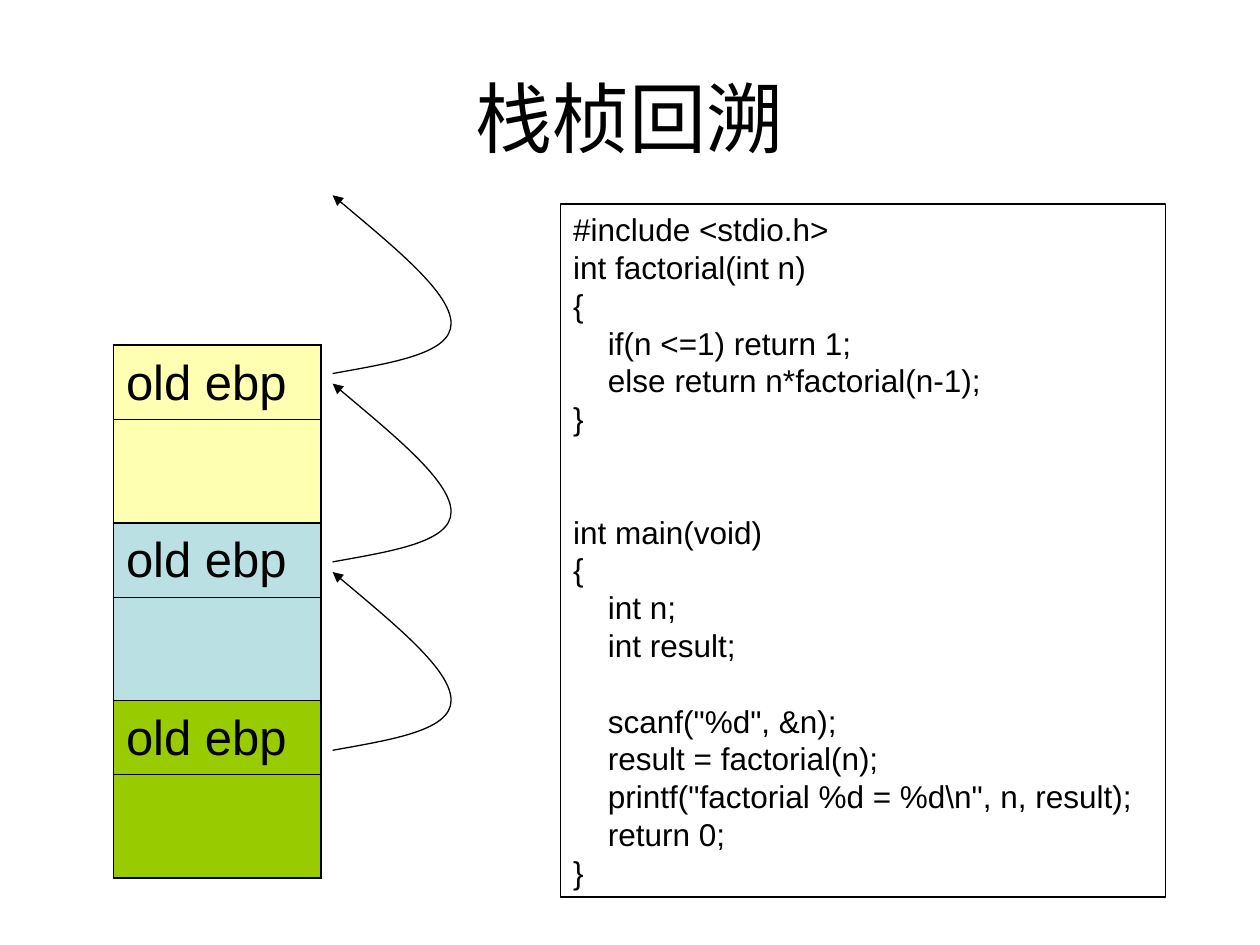
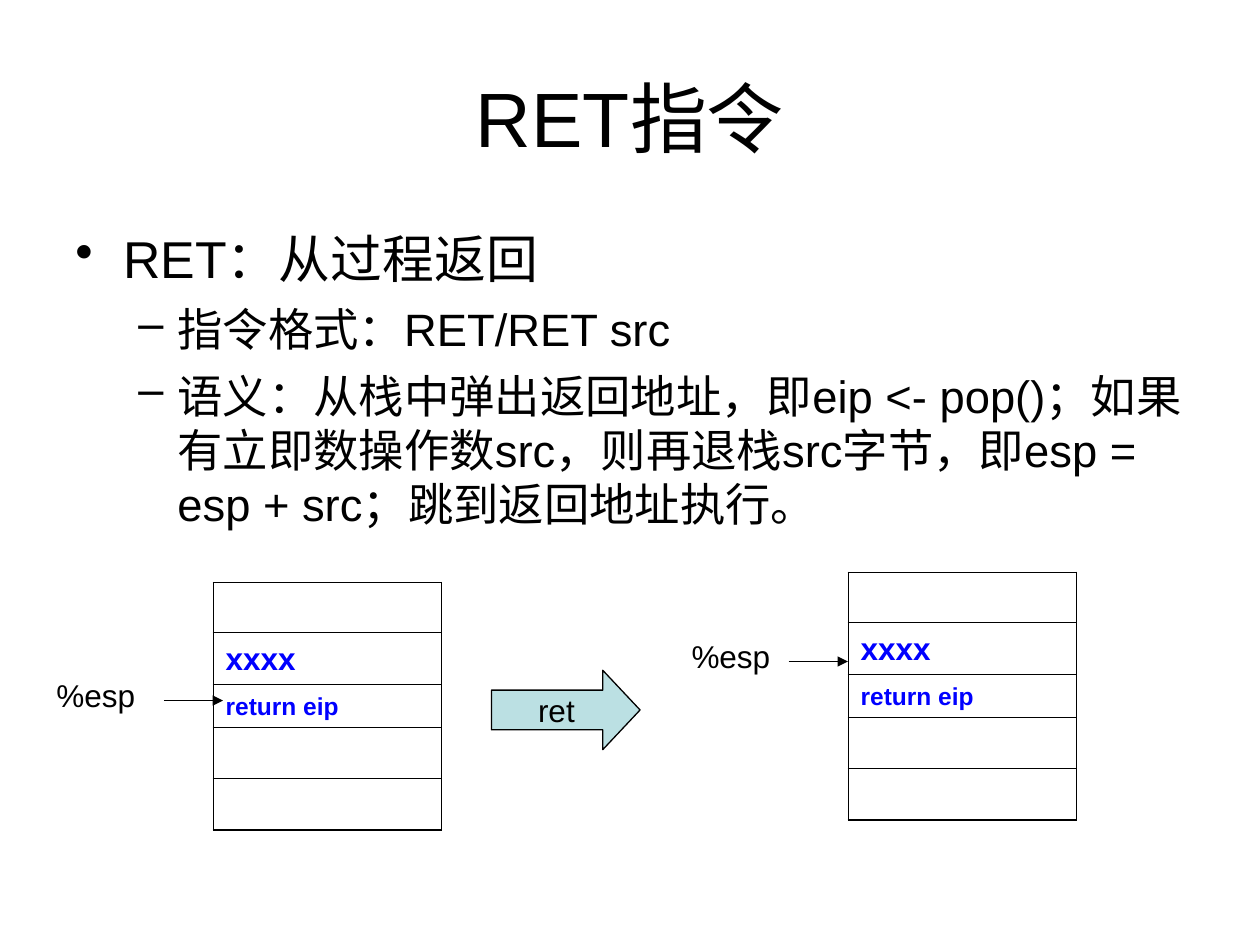
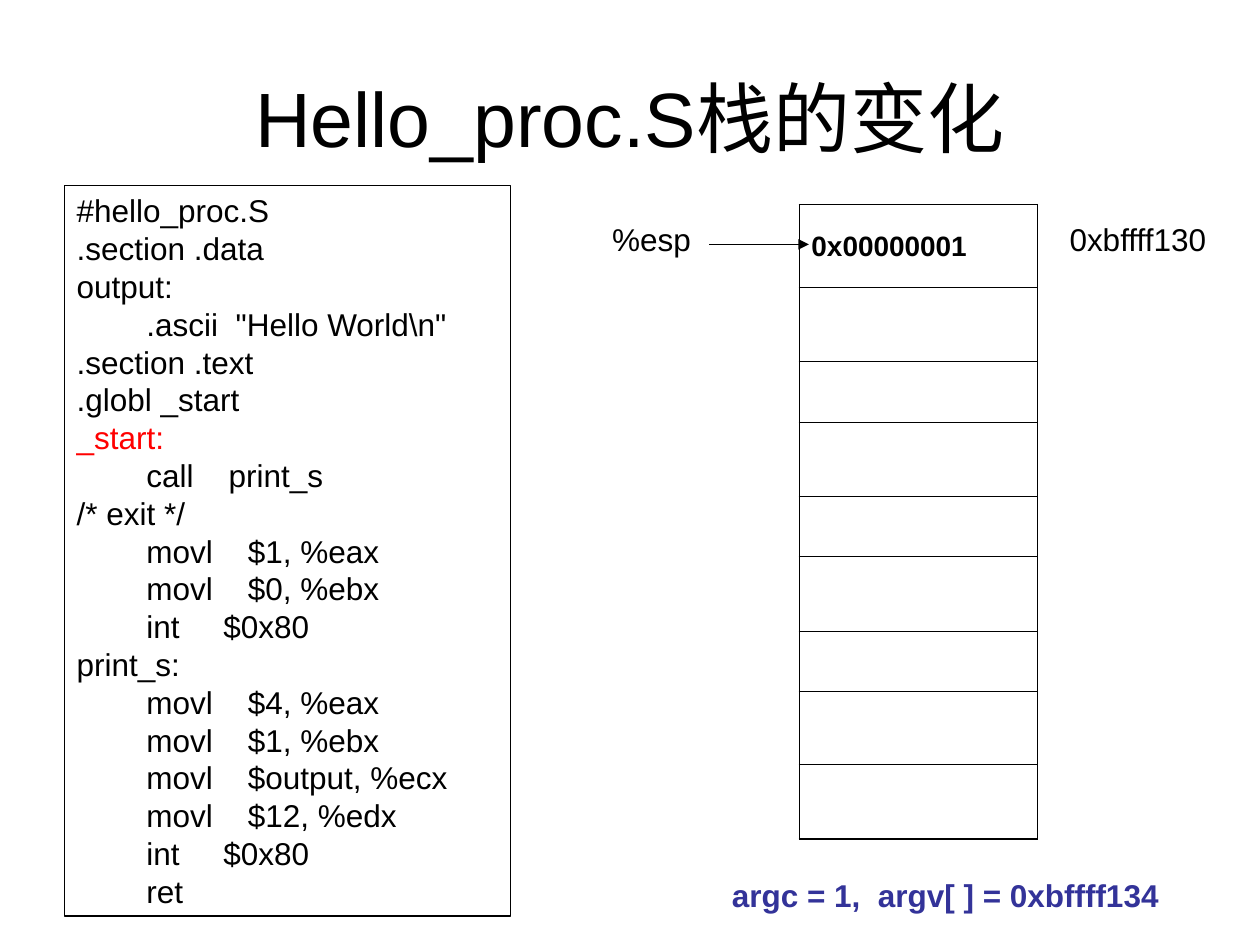
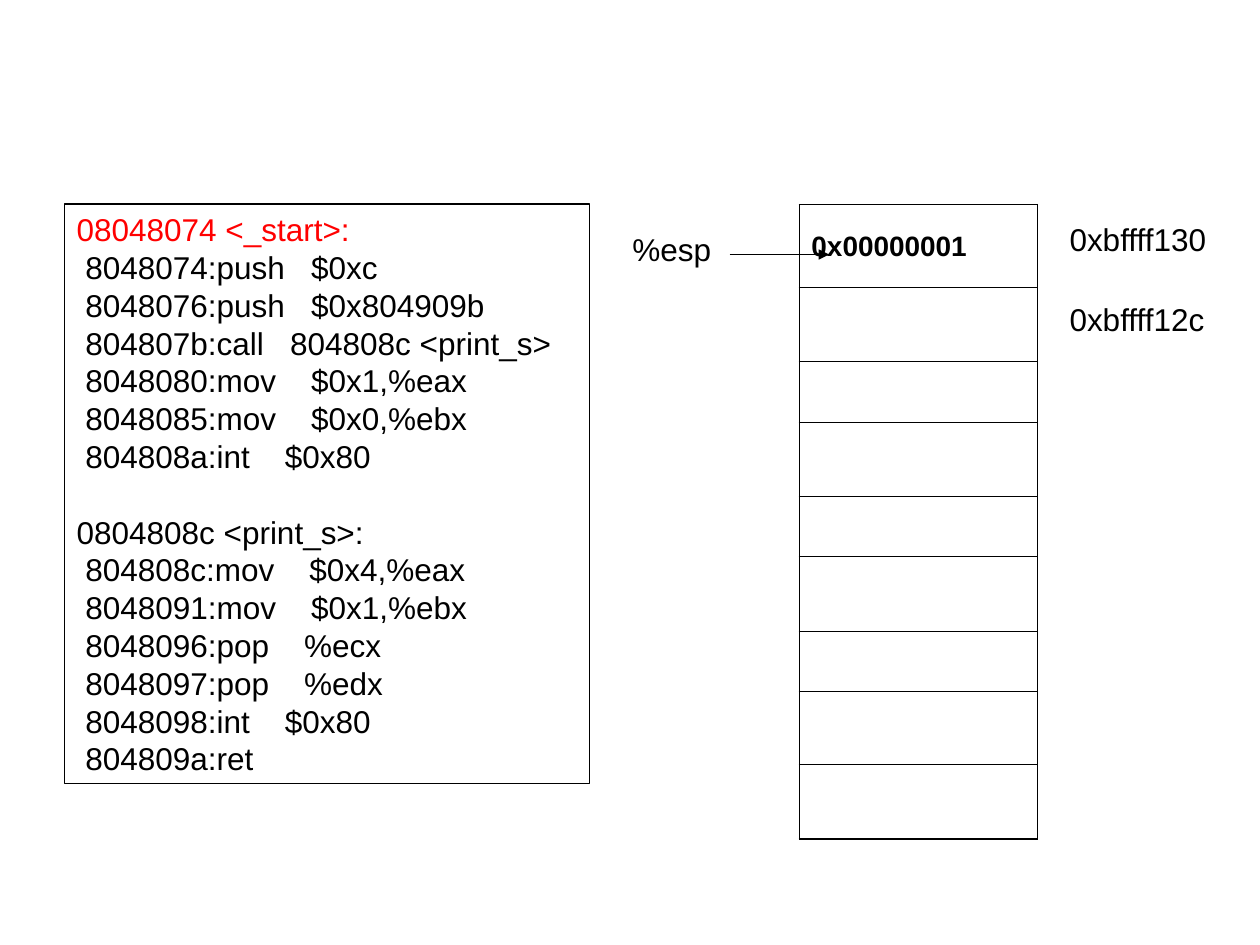
from lxml.etree import SubElement
from pptx import Presentation
from pptx.dml.color import RGBColor
from pptx.enum.shapes import MSO_CONNECTOR, MSO_SHAPE
from pptx.enum.text import MSO_ANCHOR, MSO_AUTO_SIZE, PP_ALIGN
from pptx.oxml import parse_xml
from pptx.oxml.ns import nsdecls, qn
from pptx.util import Inches, Pt

BLACK = RGBColor(0x00, 0x00, 0x00)
RED = RGBColor(0xFF, 0x00, 0x00)
BLUE = RGBColor(0x00, 0x00, 0xFF)
INDIGO = RGBColor(0x33, 0x33, 0x99)
YELLOW = RGBColor(0xFF, 0xFF, 0x66)
PALE_TEAL = RGBColor(0xBB, 0xE0, 0xE3)
GREEN = RGBColor(0x99, 0xCC, 0x00)

COLUMNS, ROWS = 100, 75
THIN, LINE, THICK = 0.45, 0.75, 1.08
LEADING = 1.2

FACTORIAL = r"""
#include <stdio.h>
int factorial(int n)
{
    if(n <=1) return 1;
    else return n*factorial(n-1);
}


int main(void)
{
    int n;
    int result;

    scanf("%d", &n);
    result = factorial(n);
    printf("factorial %d = %d\n", n, result);
    return 0;
}
"""

HELLO_PROC = r"""
#hello_proc.S
.section .data
output:
        .ascii  "Hello World\n"
.section .text
.globl _start
_start:
        call    print_s
/* exit */
        movl    $1, %eax
        movl    $0, %ebx
        int     $0x80
print_s:
        movl    $4, %eax
        movl    $1, %ebx
        movl    $output, %ecx
        movl    $12, %edx
        int     $0x80
        ret
"""

DISASSEMBLY = """
08048074 <_start>:
 8048074:push   $0xc
 8048076:push   $0x804909b
 804807b:call   804808c <print_s>
 8048080:mov    $0x1,%eax
 8048085:mov    $0x0,%ebx
 804808a:int    $0x80

0804808c <print_s>:
 804808c:mov    $0x4,%eax
 8048091:mov    $0x1,%ebx
 8048096:pop    %ecx
 8048097:pop    %edx
 8048098:int    $0x80
 804809a:ret
"""


class Deck:
    """Holds the shared style and draws on the current slide in grid units."""

    font = "Arial"
    code_size = 18

    def __init__(self):
        self.prs = Presentation()
        self.prs.slide_width, self.prs.slide_height = Inches(10), Inches(7.5)
        self.slide = None

    def x(self, columns):
        return round(self.prs.slide_width * columns / COLUMNS)

    def y(self, rows):
        return round(self.prs.slide_height * rows / ROWS)

    def box(self, left, top, width, height):
        return self.x(left), self.y(top), self.x(width), self.y(height)

    def new_slide(self, title=None):
        layout = self.prs.slide_layouts[5 if title else 6]
        self.slide = self.prs.slides.add_slide(layout)
        if title:
            heading = self.slide.shapes.title
            heading.left, heading.top, heading.width, heading.height = self.box(5, 3, 90, 12.5)
            frame = heading.text_frame
            frame.text = title
            frame.auto_size = MSO_AUTO_SIZE.NONE
            frame.vertical_anchor = MSO_ANCHOR.MIDDLE
            self.format(frame.paragraphs[0], 44, align=PP_ALIGN.CENTER)

    def format(self, paragraph, size, color=BLACK, bold=False, align=PP_ALIGN.LEFT):
        paragraph.alignment = align
        paragraph.line_spacing = Pt(size * LEADING)
        for run in paragraph.runs:
            run.font.name = self.font
            run.font.size = Pt(size)
            run.font.bold = bold
            run.font.color.rgb = color

    def outline(self, shape, fill=None):
        shape.shadow.inherit = False
        if fill is None:
            shape.fill.background()
        else:
            shape.fill.solid()
            shape.fill.fore_color.rgb = fill
        shape.line.color.rgb = BLACK
        shape.line.width = Pt(LINE)

    def arrowhead(self, shape):
        SubElement(shape._element.spPr.find(qn("a:ln")), qn("a:tailEnd"), type="triangle")

    def label(self, text, left, top, width, color=BLACK, bold=False):
        frame = self.slide.shapes.add_textbox(*self.box(left, top, width, 4)).text_frame
        frame.word_wrap = True
        frame.text = text
        self.format(frame.paragraphs[0], 18, color, bold)

    def code(self, source, left, top, width, height, current=None):
        listing = self.slide.shapes.add_shape(MSO_SHAPE.RECTANGLE, *self.box(left, top, width, height))
        self.outline(listing)
        frame = listing.text_frame
        frame.word_wrap = True
        frame.vertical_anchor = MSO_ANCHOR.TOP
        skipped = 0
        for number, line in enumerate(source.strip("\n").split("\n")):
            if not line:
                skipped += 1
                continue
            paragraph = frame.add_paragraph() if number else frame.paragraphs[0]
            paragraph.text = line
            if skipped:
                paragraph.space_before = Pt(skipped * self.code_size * LEADING)
            skipped = 0
            self.format(paragraph, self.code_size, RED if line == current else BLACK)

    def bullets(self, points, left, top, width, height):
        frame = self.slide.shapes.add_textbox(*self.box(left, top, width, height)).text_frame
        frame.word_wrap = True
        styles = [("•", 29.6, 0.38, 0.38), ("–", 25.9, 0.81, 0.31)]
        for number, (level, text) in enumerate(points):
            mark, size, margin, hang = styles[level]
            paragraph = frame.add_paragraph() if number else frame.paragraphs[0]
            paragraph.text = text
            paragraph.level = level
            properties = paragraph._p.get_or_add_pPr()
            properties.set("marL", str(Inches(margin)))
            properties.set("indent", str(-Inches(hang)))
            SubElement(properties, qn("a:buChar"), char=mark)
            if number:
                paragraph.space_before = Pt(7)
            self.format(paragraph, size)

    def stack(self, left, top, width, heights):
        frame = self.slide.shapes.add_table(
            len(heights), 1, *self.box(left, top, width, sum(heights)))
        table = frame.table
        table.first_row = table.horz_banding = False
        for row, height in zip(table.rows, heights):
            row.height = self.y(height)
        return [row.cells[0] for row in table.rows]

    def cell(self, cell, text="", size=18, color=BLACK, bold=False, anchor=MSO_ANCHOR.MIDDLE,
             fill=None, alpha=None, sides=THIN, top=THIN, bottom=THIN):
        if text:
            cell.text_frame.text = text
            self.format(cell.text_frame.paragraphs[0], size, color, bold)
        cell.vertical_anchor = anchor
        if fill is None:
            cell.fill.background()
        else:
            cell.fill.solid()
            cell.fill.fore_color.rgb = fill
        properties = cell._tc.get_or_add_tcPr()
        if alpha:
            tint = properties.find(".//" + qn("a:srgbClr"))
            SubElement(tint, qn("a:alpha"), val=str(alpha * 1000))
        borders = [("lnL", sides), ("lnR", sides), ("lnT", top), ("lnB", bottom)]
        for place, (tag, points) in enumerate(borders):
            properties.insert(place, parse_xml(
                f'<a:{tag} {nsdecls("a")} w="{Pt(points)}"><a:solidFill>'
                f'<a:srgbClr val="{BLACK}"/></a:solidFill></a:{tag}>'))

    def plain_stack(self, left, top, width, heights, entries):
        cells = self.stack(left, top, width, heights)
        for number, cell in enumerate(cells):
            bottom = THICK if number == len(cells) - 1 else THIN
            self.cell(cell, bottom=bottom, **entries.get(number, {}))

    def arrow(self, left, top, length):
        pointer = self.slide.shapes.add_connector(
            MSO_CONNECTOR.STRAIGHT, self.x(left), self.y(top), self.x(left + length), self.y(top))
        pointer.line.color.rgb = BLACK
        pointer.line.width = Pt(LINE)
        self.arrowhead(pointer)
        SubElement(pointer._element.spPr, qn("a:effectLst"))

    def back_link(self, left, top, width, height):
        shares = [(0, 1), (0.5, 0.94), (1, 0.89), (1, 0.72), (1, 0.55), (0.5, 0.28), (0, 0)]
        start, *rest = [(self.x(left + width * across), self.y(top + height * down))
                        for across, down in shares]
        builder = self.slide.shapes.build_freeform(*start)
        builder.add_line_segments(rest, close=False)
        link = builder.convert_to_shape()
        outline = link._element.spPr.find(".//" + qn("a:path"))
        segments = outline.findall(qn("a:lnTo"))
        for first in range(0, len(segments), 3):
            curve = SubElement(outline, qn("a:cubicBezTo"))
            for segment in segments[first:first + 3]:
                curve.append(segment[0])
                outline.remove(segment)
        self.outline(link)
        self.arrowhead(link)

    def block_arrow(self, text, left, top, width, height):
        block = self.slide.shapes.add_shape(
            MSO_SHAPE.RIGHT_ARROW, *self.box(left, top, width, height))
        block.adjustments[1] = 0.47
        self.outline(block, PALE_TEAL)
        frame = block.text_frame
        frame.word_wrap = False
        frame.vertical_anchor = MSO_ANCHOR.MIDDLE
        frame.text = text
        self.format(frame.paragraphs[0], 18, align=PP_ALIGN.CENTER)


def backtrace(deck):
    deck.new_slide("栈桢回溯")
    cells = deck.stack(9, 27.4, 16.5, [5.9, 8.2] * 3)
    for number, (fill, alpha) in enumerate([(YELLOW, 50), (PALE_TEAL, None), (GREEN, None)]):
        saved, rest = cells[2 * number:2 * number + 2]
        deck.cell(saved, "old ebp", 28, anchor=MSO_ANCHOR.TOP, fill=fill, alpha=alpha,
                  sides=THICK, top=THICK)
        deck.cell(rest, fill=fill, alpha=alpha, sides=THICK, bottom=THICK)
        deck.back_link(26.4, 15.5 + 14.95 * number, 9.4, 14.15)
    deck.code(FACTORIAL, 44.5, 16.2, 48, 55)


def ret_instruction(deck):
    deck.new_slide("RET指令")
    deck.bullets([
        (0, "RET：从过程返回"),
        (1, "指令格式：RET/RET src"),
        (1, "语义：从栈中弹出返回地址，即eip <- pop()；如果有立即数操作数src，"
            "则再退栈src字节，即esp = esp + src；跳到返回地址执行。"),
    ], 5, 17.5, 90, 27.9)
    entries = {1: dict(text="xxxx", color=BLUE, bold=True),
               2: dict(text="return eip", size=14, color=BLUE, bold=True)}
    for stack_left, stack_top, label_left, label_top, arrow_left, arrow_top in [
            (16.9, 46.2, 3.5, 53.2, 13, 55.6), (67.3, 45.4, 53.9, 50.1, 62.6, 52.5)]:
        deck.plain_stack(stack_left, stack_top, 18.1, [4, 4.1, 3.4, 4.1, 4.1], entries)
        deck.label("%esp", label_left, label_top, 8.7)
        deck.arrow(arrow_left, arrow_top, 4.7)
    deck.block_arrow("ret", 39, 53.2, 11.8, 6.3)


def process_stack(deck, esp_left, esp_top, addresses):
    deck.plain_stack(63.4, 16.2, 18.9, [6.6, 5.9, 4.8, 5.9, 4.8, 5.9, 4.8, 5.8, 5.9],
                     {0: dict(text="0x00000001", size=16, bold=True)})
    for number, address in enumerate(addresses):
        deck.label(address, 83.9, 17 + 6.3 * number, 13.4)
    deck.label("%esp", esp_left, esp_top, 8.7)
    deck.arrow(esp_left + 8.7, esp_top + 2.4, 7.9)


def hello_source(deck):
    deck.new_slide("Hello_proc.S栈的变化")
    deck.code(HELLO_PROC, 5.1, 14.7, 35.4, 58, current="_start:")
    process_stack(deck, 47.6, 17, ["0xbffff130"])
    deck.label("argc = 1,  argv[ ] = 0xbffff134", 57.1, 69, 36.2, INDIGO, True)


def hello_disassembly(deck):
    deck.new_slide()
    deck.code(DISASSEMBLY, 5.1, 16.2, 41.7, 46, current="08048074 <_start>:")
    process_stack(deck, 49.2, 17.8, ["0xbffff130", "0xbffff12c"])


def main():
    deck = Deck()
    for build in (backtrace, ret_instruction, hello_source, hello_disassembly):
        build(deck)
    deck.prs.save("out.pptx")


if __name__ == "__main__":
    main()
